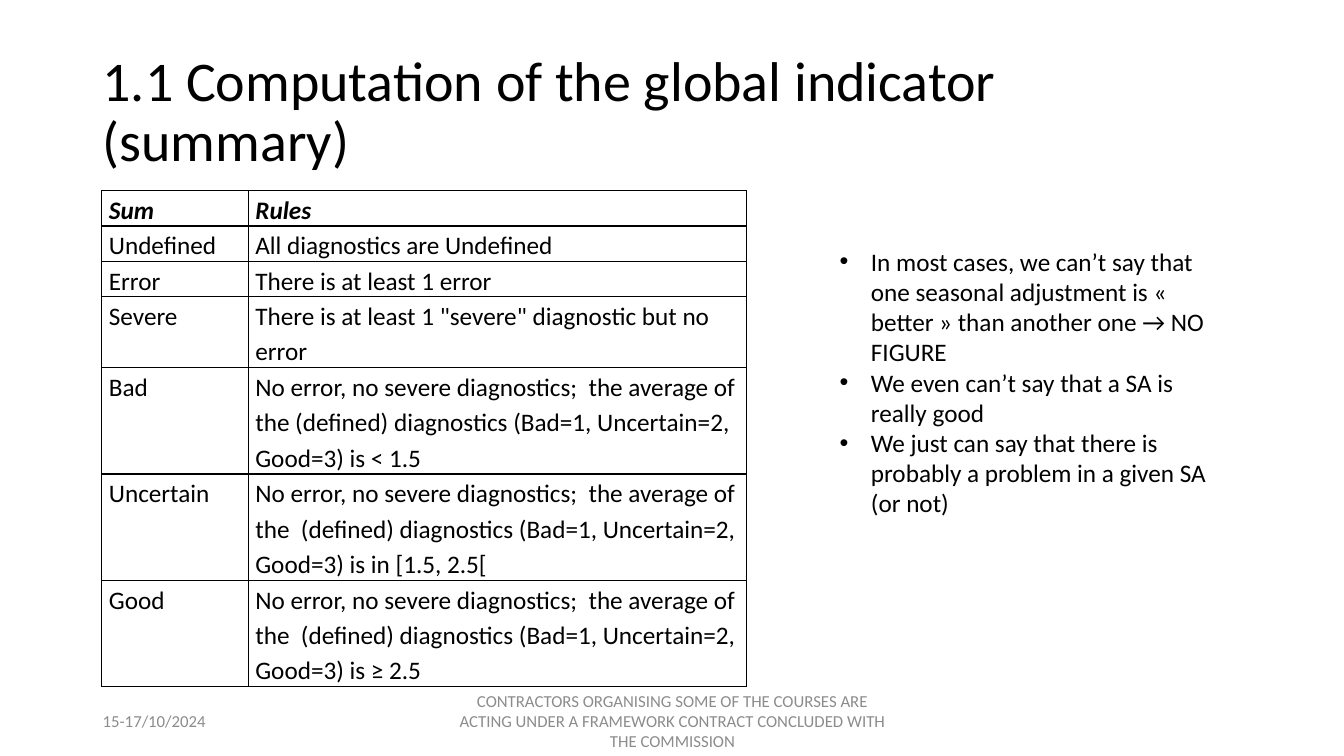
from lxml.etree import SubElement
from pptx import Presentation
from pptx.dml.color import RGBColor
from pptx.enum.text import MSO_ANCHOR, PP_ALIGN
from pptx.oxml.ns import qn
from pptx.util import Emu, Inches, Pt

BLACK, GREY = "000000", "8C8C8C"
MEAN = "(defined) diagnostics (Bad=1, Uncertain=2, Good=3) is"
CLEAN = "No error, no severe diagnostics;  the average of the"

# Each row: sum, rule, number of text lines
RULES = [
    ("Sum", "Rules", 1),
    ("Undefined", "All diagnostics are Undefined", 1),
    ("Error", "There is at least 1 error", 1),
    ("Severe", 'There is at least 1 "severe" diagnostic but no error', 2),
    ("Bad", f"{CLEAN} {MEAN} < 1.5", 3),
    ("Uncertain", f"{CLEAN}  {MEAN} in [1.5, 2.5[", 3),
    ("Good", f"{CLEAN}  {MEAN} ≥ 2.5", 3),
]
POINTS = [
    "In most cases, we can’t say that one seasonal adjustment is "
    "« better » than another one → NO FIGURE",
    "We even can’t say that a SA is really good",
    "We just can say that there is probably a problem in a given SA (or not)",
]


def color(code):
    return RGBColor.from_string(code)


class Page:
    """Style and current slide; lengths are percent of the slide's size."""

    font = "Calibri"

    def __init__(self, deck):
        self.deck = deck
        self.slide = deck.slides.add_slide(deck.slide_layouts[6])

    def wide(self, share):
        return Emu(int(self.deck.slide_width * share / 100))

    def high(self, share):
        return Emu(int(self.deck.slide_height * share / 100))

    def style(self, para, size, code=BLACK):
        font = para.font
        font.name, font.size = self.font, Pt(size)
        font.color.rgb = color(code)

    def text(self, x, y, w, h, lines, size, code=BLACK,
             anchor=MSO_ANCHOR.MIDDLE, align=PP_ALIGN.LEFT, space=1.0):
        box = self.slide.shapes.add_textbox(
            self.wide(x), self.high(y), self.wide(w), self.high(h))
        frame = box.text_frame
        frame.word_wrap = True
        frame.vertical_anchor = anchor
        frame.text = "\n".join(lines)
        for para in frame.paragraphs:
            para.alignment, para.line_spacing = align, space
            self.style(para, size, code)
        return frame

    def bullets(self, x, y, w, h, lines, size):
        frame = self.text(x, y, w, h, lines, size, anchor=MSO_ANCHOR.TOP)
        for para in frame.paragraphs:
            props = para._p.get_or_add_pPr()
            props.set("marL", str(Inches(0.31)))
            props.set("indent", str(-Inches(0.31)))
            SubElement(props, qn("a:buFont"), typeface="Arial")
            SubElement(props, qn("a:buChar"), char="•")

    def border(self, cell):
        props = cell._tc.get_or_add_tcPr()
        for side in ("lnL", "lnR", "lnT", "lnB"):
            line = SubElement(props, qn(f"a:{side}"), w=str(Pt(1)))
            fill = SubElement(line, qn("a:solidFill"))
            SubElement(fill, qn("a:srgbClr"), val=BLACK)

    def table(self, x, y, cols, line, rows, size):
        lines = sum(row[-1] for row in rows)
        table = self.slide.shapes.add_table(
            len(rows), len(cols), self.wide(x), self.high(y),
            self.wide(sum(cols)), self.high(line * lines)).table
        table.first_row = table.horz_banding = False
        for col, share in zip(table.columns, cols):
            col.width = self.wide(share)
        for r, (*words, count) in enumerate(rows):
            table.rows[r].height = self.high(line * count)
            for c, word in enumerate(words):
                self.cell(table.cell(r, c), word, size, r == 0)

    def cell(self, cell, word, size, head):
        cell.margin_left = cell.margin_right = Inches(0.07)
        cell.margin_top = cell.margin_bottom = 0
        cell.text = word
        para = cell.text_frame.paragraphs[0]
        para.line_spacing, para.space_after = 1.15, Pt(10)
        self.style(para, size)
        para.font.bold = para.font.italic = head
        self.border(cell)
        cell.fill.background()


def main():
    deck = Presentation()
    deck.slide_width, deck.slide_height = Inches(13.33), Inches(7.5)
    page = Page(deck)

    # Title
    page.text(6.9, 5.33, 86.25, 19.33,
              ["1.1 Computation of the global indicator (summary)"],
              40, space=0.9)

    # Rules of the indicator
    page.table(7.58, 25.2, (10.9, 37.06), 4.69, RULES, 18)

    # Date and footer
    page.text(6.9, 92.67, 22.5, 5.33, ["15-17/10/2024"], 12, GREY)
    page.text(33.16, 92.67, 33.76, 5.33,
              ["CONTRACTORS ORGANISING SOME OF THE COURSES ARE ACTING UNDER "
               "A FRAMEWORK CONTRACT CONCLUDED WITH THE COMMISSION"],
              12, GREY, align=PP_ALIGN.CENTER)

    # Remarks
    page.bullets(61.74, 31.87, 28.88, 41.73, POINTS, 18)

    deck.save("out.pptx")


if __name__ == "__main__":
    main()
